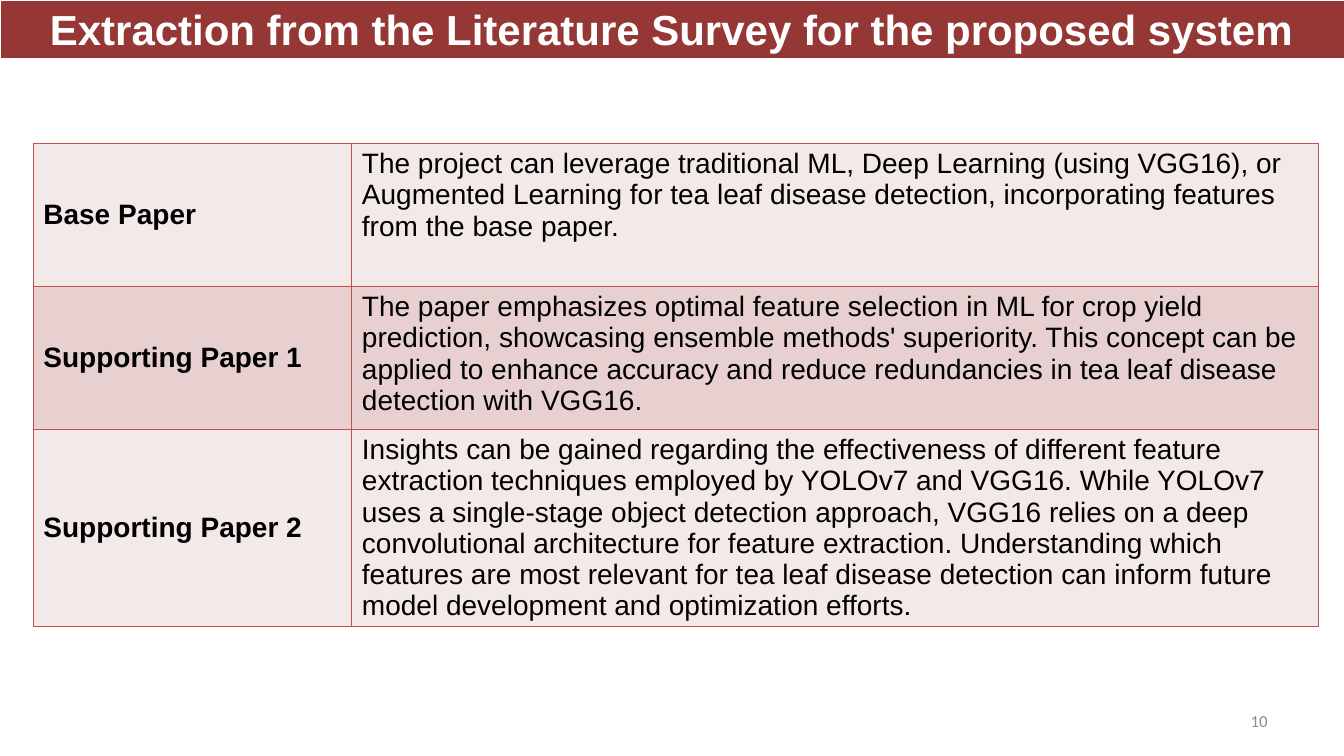
from lxml.etree import SubElement
from pptx import Presentation
from pptx.dml.color import RGBColor
from pptx.enum.text import MSO_ANCHOR, MSO_AUTO_SIZE, PP_ALIGN
from pptx.oxml.ns import qn
from pptx.util import Inches, Pt

COLORS = {
    "banner": "953735",
    "white": "FFFFFF",
    "text": "000000",
    "page": "8C8C8C",
    "border": "C0504D",
    "light_row": "F4E9E9",
    "dark_row": "E8D0D0",
}

SURVEY = [
    ("Base Paper",
     "The project can leverage traditional ML, Deep Learning (using VGG16), or "
     "Augmented Learning for tea leaf disease detection, incorporating features "
     "from the base paper."),
    ("Supporting Paper 1",
     "The paper emphasizes optimal feature selection in ML for crop yield "
     "prediction, showcasing ensemble methods' superiority. This concept can be "
     "applied to enhance accuracy and reduce redundancies in tea leaf disease "
     "detection with VGG16."),
    ("Supporting Paper 2",
     "Insights can be gained regarding the effectiveness of different feature "
     "extraction techniques employed by YOLOv7 and VGG16. While YOLOv7 uses a "
     "single-stage object detection approach, VGG16 relies on a deep "
     "convolutional architecture for feature extraction. Understanding which "
     "features are most relevant for tea leaf disease detection can inform "
     "future model development and optimization efforts."),
]
COLUMN_WIDTHS = (3.16, 9.59)
ROW_HEIGHTS = (1.42, 1.42, 1.95)


def color(name):
    return RGBColor.from_string(COLORS[name])


def write(frame, text, size, ink, font="Arial", bold=False, align=PP_ALIGN.LEFT):
    paragraph = frame.paragraphs[0]
    paragraph.alignment = align
    run = paragraph.add_run()
    run.text = text
    run.font.name = font
    run.font.size = Pt(size)
    run.font.bold = bold
    run.font.color.rgb = color(ink)


def add_title(slide, text):
    banner = slide.shapes.title
    banner.left, banner.top = Inches(0), Inches(0)
    banner.width, banner.height = Inches(13.33), Inches(0.58)
    banner.fill.solid()
    banner.fill.fore_color.rgb = color("banner")
    banner.line.color.rgb = color("white")
    banner.line.width = Pt(0.25)
    frame = banner.text_frame
    frame.auto_size = MSO_AUTO_SIZE.NONE
    frame.vertical_anchor = MSO_ANCHOR.MIDDLE
    write(frame, text, 30, "white", bold=True, align=PP_ALIGN.CENTER)


def set_borders(cell):
    properties = cell._tc.get_or_add_tcPr()
    for position, side in enumerate(("a:lnL", "a:lnR", "a:lnT", "a:lnB")):
        line = SubElement(properties, qn(side), w=str(Pt(1)))
        fill = SubElement(line, qn("a:solidFill"))
        SubElement(fill, qn("a:srgbClr"), val=COLORS["border"])
        # Border lines come before the cell fill
        properties.insert(position, line)


def add_survey_table(slide):
    table = slide.shapes.add_table(
        len(SURVEY), len(COLUMN_WIDTHS), Inches(0.33), Inches(1.42),
        Inches(sum(COLUMN_WIDTHS)), Inches(sum(ROW_HEIGHTS))).table
    table.first_row = False
    for column, width in zip(table.columns, COLUMN_WIDTHS):
        column.width = Inches(width)
    for row_index, (row, height) in enumerate(zip(table.rows, ROW_HEIGHTS)):
        row.height = Inches(height)
        for column_index, text in enumerate(SURVEY[row_index]):
            is_label = column_index == 0
            cell = table.cell(row_index, column_index)
            cell.fill.solid()
            cell.fill.fore_color.rgb = color("dark_row" if row_index % 2 else "light_row")
            cell.vertical_anchor = MSO_ANCHOR.MIDDLE if is_label else MSO_ANCHOR.TOP
            write(cell.text_frame, text, 20, "text", bold=is_label)
            set_borders(cell)


def add_page_number(slide, number):
    page = slide.shapes.add_textbox(Inches(9.56), Inches(6.95), Inches(3.11), Inches(0.4))
    frame = page.text_frame
    frame.word_wrap = True
    frame.vertical_anchor = MSO_ANCHOR.MIDDLE
    write(frame, number, 12, "page", font="Calibri", align=PP_ALIGN.RIGHT)


def main():
    deck = Presentation()
    deck.slide_width, deck.slide_height = Inches(13.33), Inches(7.5)
    slide = deck.slides.add_slide(deck.slide_layouts[5])  # title only
    add_title(slide, "Extraction from the Literature Survey for the proposed system")
    add_survey_table(slide)
    add_page_number(slide, "10")
    deck.save("out.pptx")


if __name__ == "__main__":
    main()
